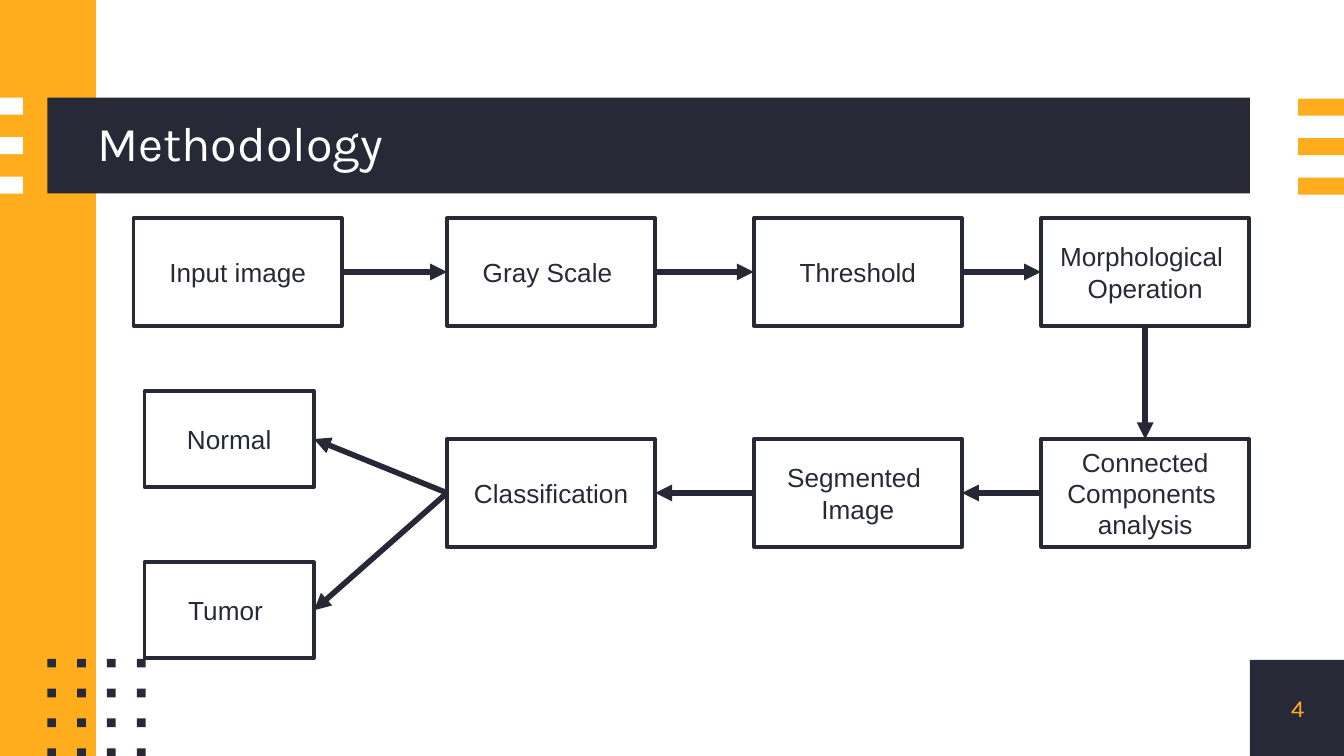
from itertools import product

from lxml.etree import SubElement
from pptx import Presentation
from pptx.dml.color import RGBColor
from pptx.enum.shapes import MSO_CONNECTOR as Connector, MSO_SHAPE as Shape
from pptx.enum.text import MSO_ANCHOR as Anchor, PP_ALIGN as Align
from pptx.oxml.ns import qn
from pptx.util import Inches, Pt

CELL = 0.1
COLUMNS, ROWS = 100, 56.25
NAVY, AMBER, WHITE, ARROW = "272A36", "FFAD1D", "FFFFFF", "262935"
TOP, LEFT, BOTTOM, RIGHT = range(4)


def color(hex_code):
    """Turn a hex string into a colour."""
    return RGBColor.from_string(hex_code)


def grid(*cells):
    """Turn grid cells into slide lengths."""
    return [Inches(round(cell * CELL, 4)) for cell in cells]


def write(frame, text, font="Arial", size=14, ink=NAVY, align=Align.CENTER,
          inset=None, spacing=None):
    """Fill a text frame, one paragraph for each line of text."""
    frame.word_wrap = True
    frame.vertical_anchor = Anchor.MIDDLE
    if inset is not None:
        frame.margin_left = frame.margin_right = Inches(inset)
        frame.margin_top = frame.margin_bottom = Inches(inset)
    for index, line in enumerate(text.split("\n")):
        paragraph = frame.add_paragraph() if index else frame.paragraphs[0]
        paragraph.alignment = align
        if spacing:
            paragraph.line_spacing = spacing
        run = paragraph.add_run()
        run.text = line
        run.font.name, run.font.size = font, Pt(size)
        run.font.color.rgb = color(ink)


class FlowSlide:
    """Hold the style and the slide, and draw each kind of element."""

    border, stroke = 2, 3

    def __init__(self, deck):
        """Add a blank slide to the deck."""
        self.slide = deck.slides.add_slide(deck.slide_layouts[6])

    def block(self, left, top, width, height, fill=NAVY):
        """Draw a plain filled rectangle."""
        block = self.slide.shapes.add_shape(
            Shape.RECTANGLE, *grid(left, top, width, height))
        block.shadow.inherit = False
        block.fill.solid()
        block.fill.fore_color.rgb = color(fill)
        block.line.fill.background()
        return block

    def step(self, text, left, top, width=15.5, height=8):
        """Draw an outlined, labelled step of the flow."""
        step = self.block(left, top, width, height, WHITE)
        step.line.color.rgb = color(NAVY)
        step.line.width = Pt(self.border)
        write(step.text_frame, text)
        return step

    def label(self, text, left, top, width, height, **style):
        """Place a text box without margins."""
        box = self.slide.shapes.add_textbox(*grid(left, top, width, height))
        write(box.text_frame, text, font="Karla", inset=0, **style)

    def arrow(self, source, source_side, target, target_side):
        """Join two steps with an arrow."""
        arrow = self.slide.shapes.add_connector(Connector.STRAIGHT, 0, 0, 0, 0)
        arrow.begin_connect(source, source_side)
        arrow.end_connect(target, target_side)
        arrow.line.color.rgb = color(ARROW)
        arrow.line.width = Pt(self.stroke)
        SubElement(arrow.line._get_or_add_ln(), qn("a:tailEnd"), type="triangle")
        SubElement(arrow._element.spPr, qn("a:effectLst"))


def draw_frame(page):
    """Draw the bands, stripes and dots around the content."""
    page.block(93, 49.1, 7.1, 7.15)
    page.block(0, 0, 7.14, ROWS, AMBER)
    page.block(3.52, 7.26, 89.48, 7.14)
    for row in range(3):
        page.block(0, 7.26 + 2.94 * row, 1.7, 1.27, WHITE)
        page.block(96.6, 7.34 + 2.94 * row, 3.4, 1.27, AMBER)
    for column, row in product(range(4), repeat=2):
        page.block(3.52 + 2.22 * column, 49.02 + 2.22 * row, 0.65, 0.65)


def draw_flow(page):
    """Draw the steps and the arrows between them."""
    columns = [9.94, 33.26, 56.08, 77.46]
    upper = ["Input image", "Gray Scale ", "Threshold", "Morphological \nOperation"]
    lower = ["Classification", "Segmented \nImage", "Connected Components \nanalysis"]
    forward = [page.step(text, left, 16.24) for text, left in zip(upper, columns)]
    back = [page.step(text, left, 32.68) for text, left in zip(lower, columns[1:])]
    back.reverse()
    results = [page.step(text, 10.76, top, 12.6, 7.14)
               for text, top in [("Normal", 29.1), ("Tumor ", 41.84)]]

    for source, target in zip(forward, forward[1:]):
        page.arrow(source, RIGHT, target, LEFT)
    page.arrow(forward[-1], BOTTOM, back[0], TOP)
    for source, target in zip(back, back[1:]):
        page.arrow(source, LEFT, target, RIGHT)
    for result in results:
        page.arrow(back[-1], LEFT, result, RIGHT)


def main():
    """Build and save the deck."""
    deck = Presentation()
    deck.slide_width, deck.slide_height = grid(COLUMNS, ROWS)
    page = FlowSlide(deck)
    draw_frame(page)
    page.label("Methodology", 7.24, 7.3, 85.76, 7.1,
               size=26, ink=WHITE, align=Align.LEFT, spacing=0.9)
    page.label("4", 93, 49.1, 7.1, 7.15, size=13, ink=AMBER)
    draw_flow(page)
    deck.save("out.pptx")


if __name__ == "__main__":
    main()
